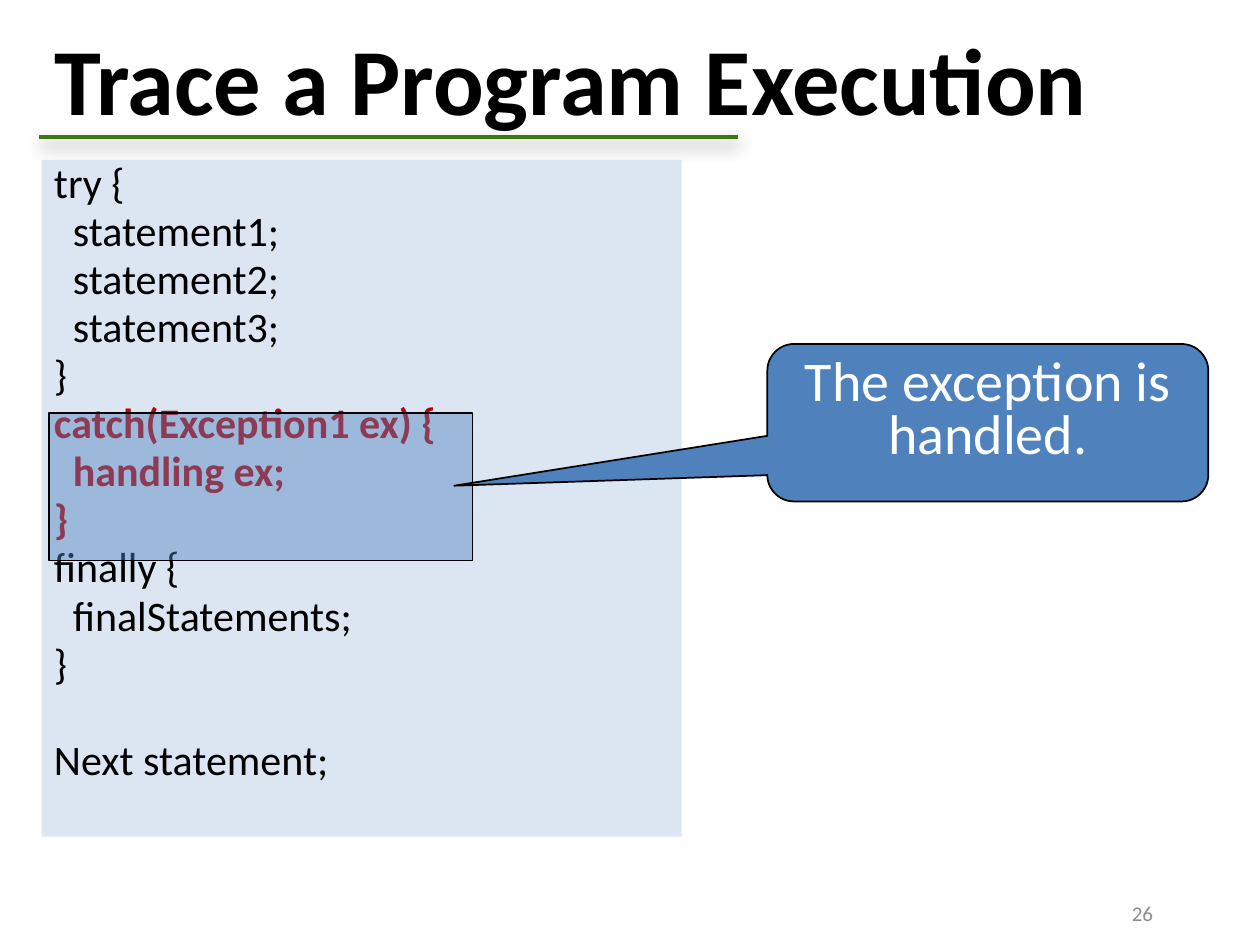
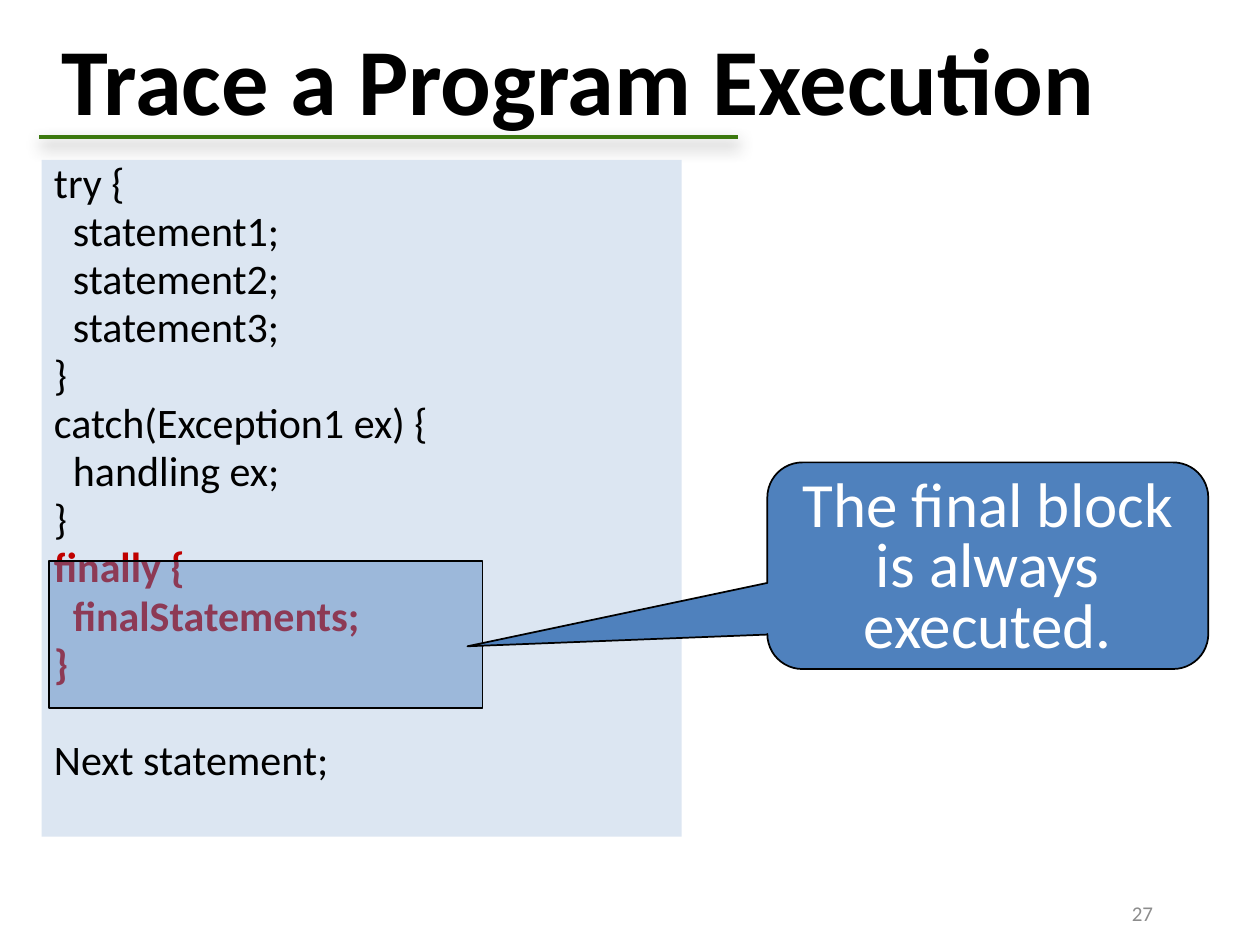
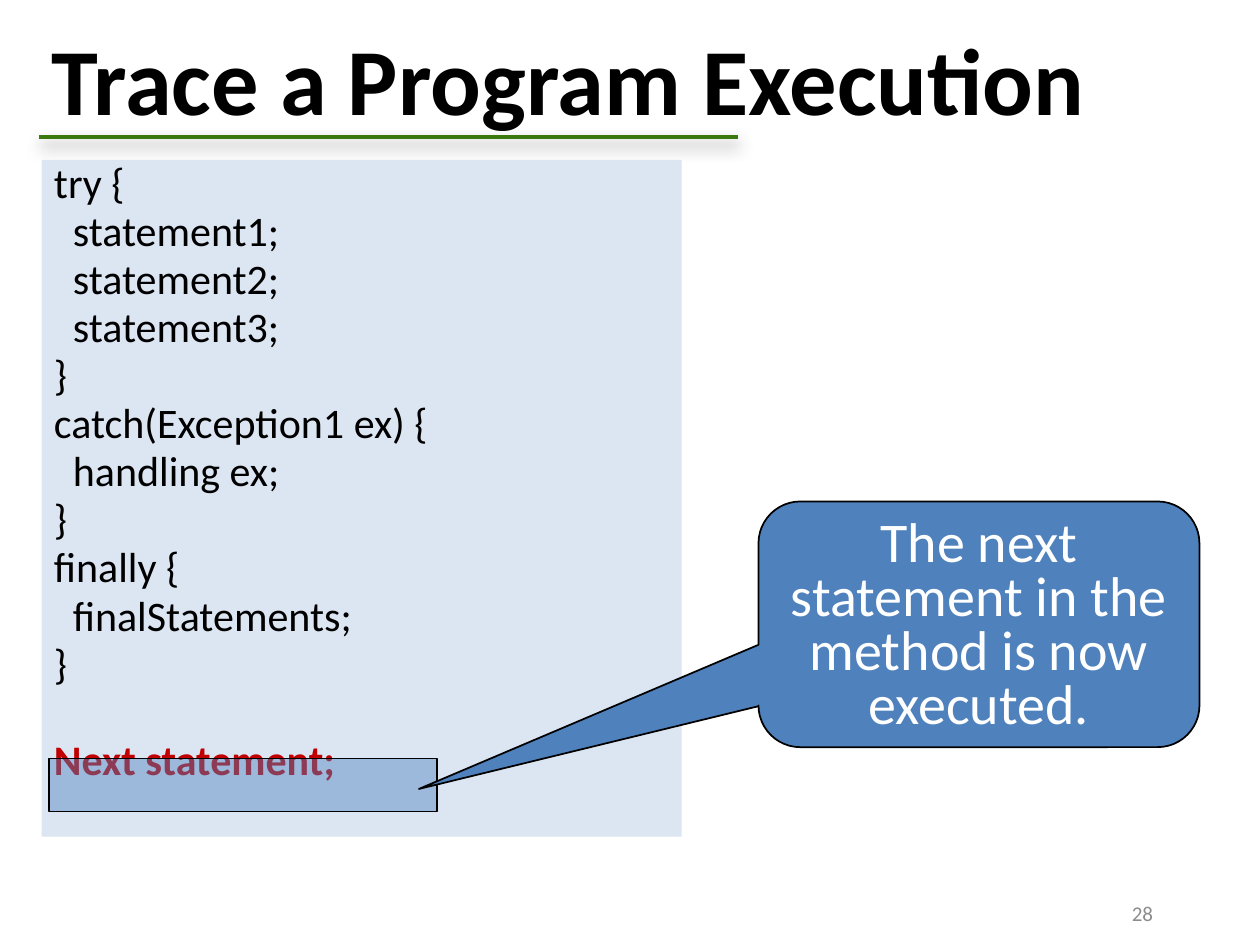
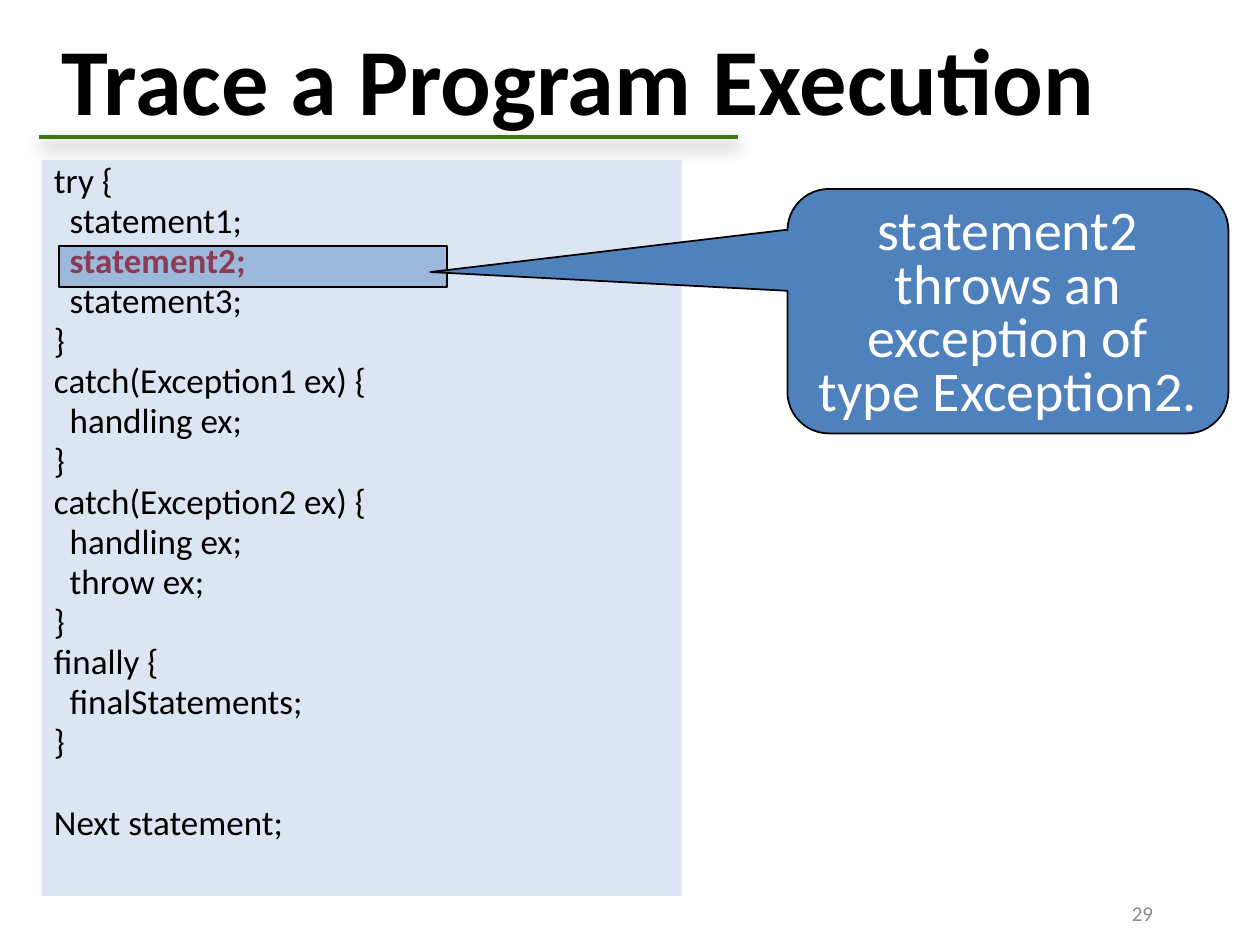
from lxml import etree
from pptx import Presentation
from pptx import util as u
from pptx.dml.color import RGBColor
from pptx.enum import shapes, text
from pptx.oxml import parse_xml
from pptx.oxml.ns import qn

FONT = "Calibri"
BLACK, WHITE, GREY = "000000", "FFFFFF", "8C8C8C"
GREEN, PALE, BLUE, RED = "3B780E", "DCE6F2", "4F81BD", "C00000"
FIRST_NUMBER = 26
HANG, STEP = 0.38, 0.15
SPACING = {"line_spacing": 0.8}
SHADOW = (
    '<a:effectLst xmlns:a="http://schemas.openxmlformats.org/drawingml/2006/main">'
    '<a:outerShdw blurRad="114300" dist="50800" dir="5400000" rotWithShape="0">'
    '<a:srgbClr val="000000"><a:alpha val="43000"/></a:srgbClr>'
    "</a:outerShdw></a:effectLst>"
)

TRY = ["try {", "  statement1;", "  statement2;", "  statement3;", "}"]
CATCH1 = ["catch(Exception1 ex) {", "  handling ex;", "}"]
CATCH2 = ["catch(Exception2 ex) {", "  handling ex;", "  throw ex;", "}"]
END = ["finally {", "  finalStatements;", "}", "", "Next statement;"]
ONE_CATCH = TRY + CATCH1 + END
TWO_CATCHES = TRY + CATCH1 + CATCH2 + END

STEPS = [
    {"title_left": 0.33, "code": ONE_CATCH, "size": 24, "height": 5.37,
     "active": range(5, 8), "mark": (0.39, 3.28, 3.36, 1.17),
     "bubble": (6.09, 2.73, 3.5, 1.25), "tip": (-1.21, 0.4),
     "note": "The exception is handled.", "note_size": 32},
    {"title_left": 0.39, "code": ONE_CATCH, "size": 24, "height": 5.37,
     "active": range(8, 11), "mark": (0.39, 4.45, 3.44, 1.17),
     "bubble": (6.09, 3.67, 3.5, 1.64), "tip": (-1.18, 0.39),
     "note": "The final block is always executed.", "note_size": 36},
    {"title_left": 0.31, "code": ONE_CATCH, "size": 24, "height": 5.37,
     "active": range(12, 13), "mark": (0.39, 6.02, 3.08, 0.42),
     "bubble": (6.02, 3.98, 3.5, 1.95), "tip": (-1.27, 0.67),
     "note": "The next statement in the method is now executed.", "note_size": 32},
    {"title_left": 0.39, "code": TWO_CATCHES, "size": 20, "height": 5.84,
     "active": range(2, 3), "mark": (0.47, 1.95, 3.08, 0.33),
     "bubble": (6.25, 1.5, 3.5, 1.94), "tip": (-1.31, -0.16),
     "note": "statement2 throws an exception of type Exception2.", "note_size": 32},
]


def rgb(value):
    """Return the colour for a hex string."""
    return RGBColor.from_string(value)


def inches(box):
    """Return a box of numbers as lengths."""
    return [u.Inches(v) for v in box]


def apply(obj, formats):
    """Set each attribute named in a dict of format values."""
    for name, value in formats.items():
        setattr(obj, name, value)


def write(p, words, size, color, bold=False):
    """Add one formatted run to a paragraph."""
    r = p.add_run()
    r.text = words
    apply(r.font, {"name": FONT, "size": u.Pt(size), "bold": bold})
    r.font.color.rgb = rgb(color)


def add_box(slide, kind, box, fill, line=None):
    """Add a flat filled shape with top-anchored text."""
    sp = slide.shapes.add_shape(kind, *inches(box))
    sp.shadow.inherit = False
    sp.fill.solid()
    sp.fill.fore_color.rgb = rgb(fill)
    if line:
        sp.line.color.rgb = rgb(line)
        sp.line.width = u.Pt(1)
    else:
        sp.line.fill.background()
    apply(sp.text_frame, {"word_wrap": True, "vertical_anchor": text.MSO_ANCHOR.TOP})
    return sp


def add_rule(slide, layout):
    """Draw the green rule under the title and place it on the layout."""
    line = slide.shapes.add_connector(
        shapes.MSO_CONNECTOR.STRAIGHT, *inches((0.31, 1.09, 5.86, 1.09)))
    line.line.color.rgb = rgb(GREEN)
    line.line.width = u.Pt(2.5)
    line._element.spPr.append(parse_xml(SHADOW))
    layout.shapes._spTree.append(line._element)


def add_title(slide, left):
    """Place and format the slide title."""
    sp = slide.shapes.title
    apply(sp, dict(zip(("left", "top", "width", "height"), inches((left, 0.33, 8.5, 0.58)))))
    tf = sp.text_frame
    apply(tf, {"word_wrap": True, "auto_size": text.MSO_AUTO_SIZE.NONE,
               "vertical_anchor": text.MSO_ANCHOR.MIDDLE})
    tf.paragraphs[0].alignment = text.PP_ALIGN.LEFT
    write(tf.paragraphs[0], "Trace a Program Execution", 54, BLACK, True)


def add_code(slide, box, lines, size, active):
    """Add the code panel, with the active lines in bold red."""
    tf = add_box(slide, shapes.MSO_SHAPE.RECTANGLE, box, PALE).text_frame
    before, pitch = size * 0.185, size * 1.16
    for i, line in enumerate(lines):
        if not line:
            continue
        p = tf.paragraphs[0] if i == 0 else tf.add_paragraph()
        gap = before if i == 0 or lines[i - 1] else before + pitch
        apply(p, {**SPACING, "alignment": text.PP_ALIGN.LEFT, "space_before": u.Pt(gap)})
        step = STEP * size / 24 if line.startswith(" ") else 0
        pPr = p._p.get_or_add_pPr()
        pPr.set("marL", str(u.Inches(HANG)))
        pPr.set("indent", str(u.Inches(step - HANG)))
        write(p, line.strip(), size, RED if i in active else BLACK, i in active)


def add_number(slide, box, number):
    """Add the slide number at the lower right."""
    tf = slide.shapes.add_textbox(*inches(box)).text_frame
    apply(tf, {"word_wrap": True, "vertical_anchor": text.MSO_ANCHOR.MIDDLE})
    tf.paragraphs[0].alignment = text.PP_ALIGN.RIGHT
    write(tf.paragraphs[0], str(number), 12, GREY)


def add_highlight(slide, box):
    """Add the see-through marker over the active lines."""
    sp = add_box(slide, shapes.MSO_SHAPE.RECTANGLE, box, BLUE, BLACK)
    color = sp._element.spPr.find(qn("a:solidFill"))[0]
    etree.SubElement(color, qn("a:alpha"), val="45000")


def add_callout(slide, box, tip, words, size):
    """Add the speech bubble that points at the marker."""
    sp = add_box(slide, shapes.MSO_SHAPE.ROUNDED_RECTANGULAR_CALLOUT, box, BLUE, BLACK)
    for i, value in enumerate((*tip, 0.17)):
        sp.adjustments[i] = value
    p = sp.text_frame.paragraphs[0]
    apply(p, {**SPACING, "alignment": text.PP_ALIGN.CENTER, "space_before": u.Pt(size * 0.185)})
    write(p, words, size, WHITE)


def add_step(slide, step, number):
    """Build one slide of the trace."""
    add_title(slide, step["title_left"])
    add_code(slide, (0.33, 1.27, 5.08, step["height"]),
             step["code"], step["size"], step["active"])
    add_number(slide, (7.17, 7, 2.08, 0.5), number)
    add_highlight(slide, step["mark"])
    add_callout(slide, step["bubble"], step["tip"], step["note"], step["note_size"])


def main():
    """Build and save the presentation."""
    prs = Presentation()
    prs.slide_width, prs.slide_height = inches((10, 7.5))
    layout = prs.slide_layouts[5]
    for number, step in enumerate(STEPS, FIRST_NUMBER):
        slide = prs.slides.add_slide(layout)
        if number == FIRST_NUMBER:
            add_rule(slide, layout)
        add_step(slide, step, number)
    prs.save("out.pptx")


if __name__ == "__main__":
    main()
